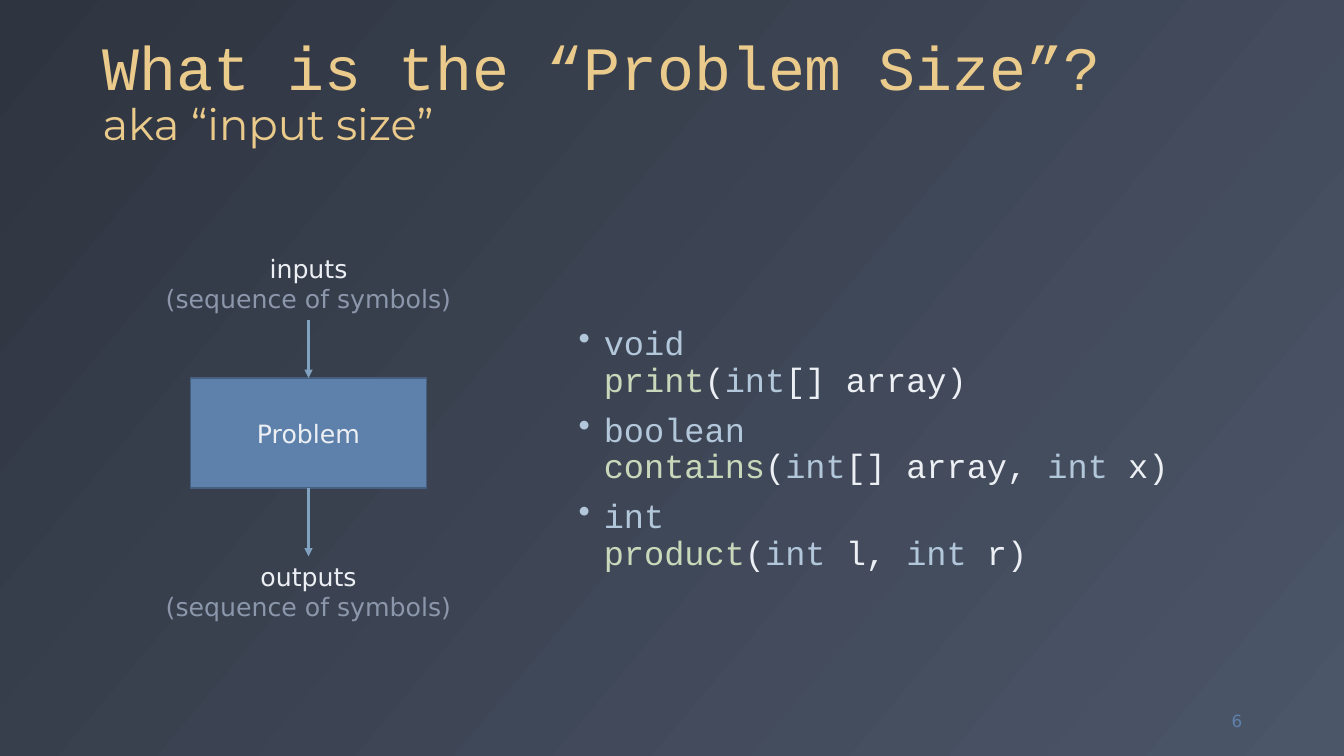
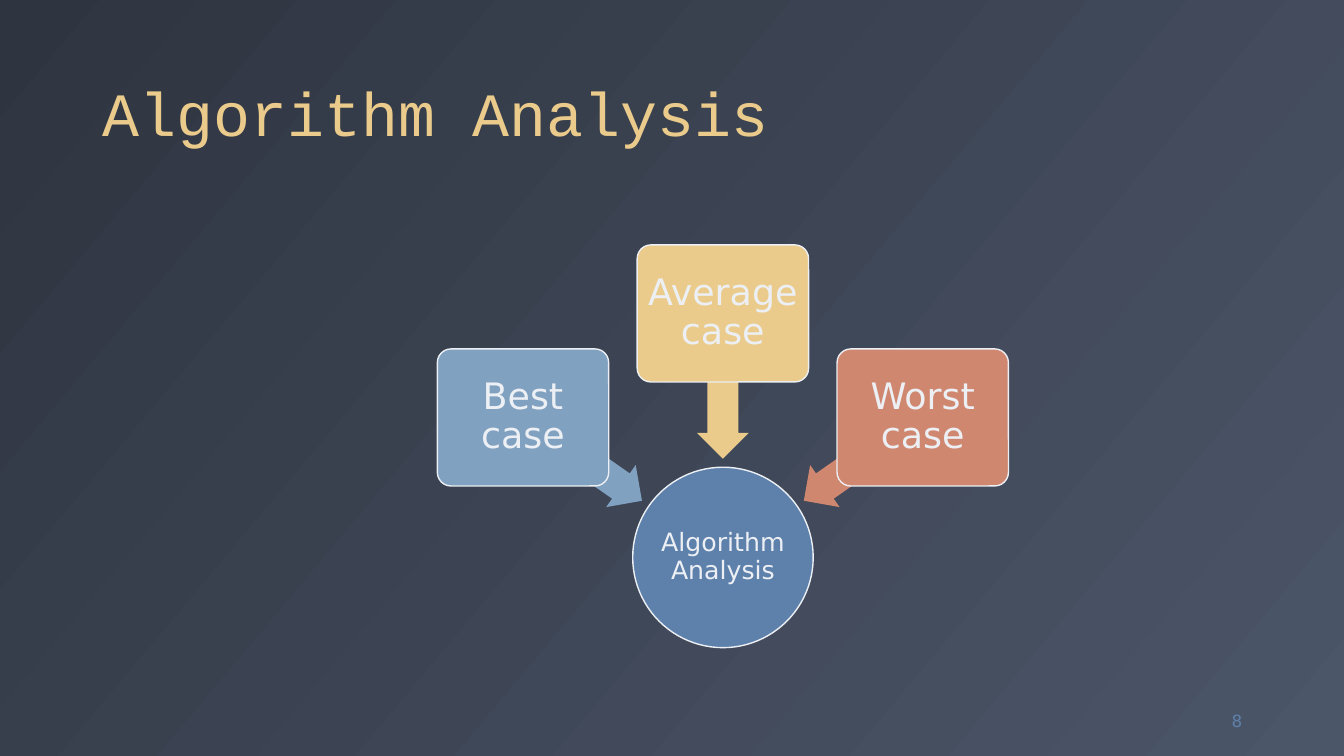
import math

import lxml.etree
import pptx
import pptx.dml.color
import pptx.enum.shapes
import pptx.enum.text
import pptx.oxml.ns
import pptx.util

Inches = pptx.util.Inches
Pt = pptx.util.Pt
qn = pptx.oxml.ns.qn
Align = pptx.enum.text.PP_ALIGN
Anchor = pptx.enum.text.MSO_ANCHOR
Preset = pptx.enum.shapes.MSO_SHAPE

CODE_FONT, TEXT_FONT, SUBTITLE_FONT = "Courier New", "DejaVu Sans", "Montserrat"
NIGHT, SLATE = "2E3440", "4C5669"
YELLOW, ORANGE, SKY, BLUE, DARK_BLUE = "EBCB8B", "D08770", "81A1C1", "5E81AC", "465F7F"
SNOW, MUTED, KEYWORD, FUNCTION = "ECEFF3", "8C97AC", "B3C7DA", "C8D8BA"


def rgb(hex_color):
    return pptx.dml.color.RGBColor.from_string(hex_color)


def add_bullet(paragraph, indent=0.25):
    properties = paragraph._p.get_or_add_pPr()
    properties.set("marL", str(Inches(indent)))
    properties.set("indent", str(-Inches(indent)))
    lxml.etree.SubElement(properties, qn("a:buChar")).set("char", "•")


def add_run(paragraph, text, font, size, color):
    for index, line in enumerate(text.split("\n")):
        if index:
            paragraph.add_line_break()
        if line:
            run = paragraph.add_run()
            run.text = line
            run.font.name = font
            run.font.size = Pt(size)
            run.font.color.rgb = rgb(color)


def write_text(shape, paragraphs, font=TEXT_FONT, size=18, color=SNOW,
               align=Align.CENTER, anchor=Anchor.MIDDLE, line_spacing=None,
               space_before=0, bullet=False, inset=None, wrap=True):
    frame = shape.text_frame
    frame.word_wrap = wrap
    frame.vertical_anchor = anchor
    if inset is not None:
        frame.margin_left = frame.margin_right = Inches(inset)
        frame.margin_top = frame.margin_bottom = Inches(inset)
    for index, runs in enumerate(paragraphs):
        paragraph = frame.add_paragraph() if index else frame.paragraphs[0]
        if bullet:
            add_bullet(paragraph)
        paragraph.alignment = align
        if line_spacing:
            paragraph.line_spacing = line_spacing
        paragraph.space_before = Pt(space_before if index else 0)
        for text, changes in runs:
            add_run(paragraph, text, **{"font": font, "size": size, "color": color, **changes})


def add_text(slide, box, paragraphs, **text_format):
    text_box = slide.shapes.add_textbox(*map(Inches, box))
    write_text(text_box, paragraphs, **text_format)
    return text_box


def add_shape(slide, preset, box, fill, line=None, line_width=1):
    shape = slide.shapes.add_shape(preset, *map(Inches, box))
    shape.shadow.inherit = False
    shape.fill.solid()
    shape.fill.fore_color.rgb = rgb(fill)
    if line:
        shape.line.color.rgb = rgb(line)
        shape.line.width = Pt(line_width)
    else:
        shape.line.fill.background()
    return shape


def add_arrow(slide, upper, lower):
    connector = slide.shapes.add_connector(
        pptx.enum.shapes.MSO_CONNECTOR.STRAIGHT, 0, 0, 0, 0)
    connector.begin_connect(upper, 2)
    connector.end_connect(lower, 0)
    connector.line.color.rgb = rgb(SKY)
    connector.line.width = Pt(1.5)
    properties = connector._element.spPr
    lxml.etree.SubElement(properties.find(qn("a:ln")), qn("a:tailEnd")).set("type", "triangle")
    lxml.etree.SubElement(properties, qn("a:effectLst"))


def add_slide(presentation, number, title):
    slide = presentation.slides.add_slide(presentation.slide_layouts[6])
    background = slide.background.fill
    background.gradient()
    background.gradient_angle = 320
    for stop, color in zip(background.gradient_stops, (NIGHT, SLATE)):
        stop.color.rgb = rgb(color)
    add_text(slide, (0.92, 0.18, 11.5, 1.36), [title], font=CODE_FONT, size=44,
             color=YELLOW, align=Align.LEFT, anchor=Anchor.BOTTOM, line_spacing=0.9)
    add_text(slide, (11.59, 6.95, 0.83, 0.4), [[(str(number), {})]],
             size=12, color=BLUE, align=Align.RIGHT)
    return slide


def add_problem_diagram(slide, left, top, width):
    def add_label(name, offset):
        label = add_text(slide, (left, top + offset, width, 0.71),
                         [[(name, {})], [("(sequence of symbols)", {"color": MUTED})]],
                         anchor=Anchor.TOP, wrap=False)
        label.text_frame.auto_size = pptx.enum.text.MSO_AUTO_SIZE.SHAPE_TO_FIT_TEXT
        return label

    problem_width = 2.34
    problem = add_shape(slide, Preset.RECTANGLE,
                        (left + (width - problem_width) / 2, top + 1.29, problem_width, 1.09),
                        BLUE, DARK_BLUE)
    write_text(problem, [[("Problem", {})]])
    inputs = add_label("inputs", 0)
    outputs = add_label("outputs", 3.06)
    add_arrow(slide, inputs, problem)
    add_arrow(slide, problem, outputs)


def add_signatures(slide, box):
    keyword, function = {"color": KEYWORD}, {"color": FUNCTION}
    signatures = [
        [("void\n", keyword), ("print", function), ("(", {}), ("int", keyword),
         ("[] array)", {})],
        [("boolean\n", keyword), ("contains", function), ("(", {}), ("int", keyword),
         ("[] array, ", {}), ("int", keyword), (" x)", {})],
        [("int\n", keyword), ("product", function), ("(", {}), ("int", keyword),
         (" l, ", {}), ("int", keyword), (" r)", {})],
    ]
    add_text(slide, box, signatures, font=CODE_FONT, size=24, align=Align.LEFT,
             line_spacing=0.9, space_before=10, bullet=True)


def add_case_diagram(slide, center_x, center_y):
    hub_size, radius = 1.79, 2.42
    case_width, case_height = 1.7, 1.36
    arrow_length, arrow_height = 1.44, 0.51

    def centered(x, y, width, height):
        return x - width / 2, y - height / 2, width, height

    hub = add_shape(slide, Preset.OVAL, centered(center_x, center_y, hub_size, hub_size),
                    BLUE, SNOW)
    write_text(hub, [[("Algorithm Analysis", {})]], line_spacing=0.9, inset=0.01)
    cases = [("Best case", 215, SKY), ("Average case", 270, YELLOW), ("Worst case", 325, ORANGE)]
    for name, bearing, color in cases:
        across, down = math.cos(math.radians(bearing)), math.sin(math.radians(bearing))
        arrow_radius = radius - arrow_length / 2
        arrow = add_shape(slide, Preset.LEFT_ARROW,
                          centered(center_x + arrow_radius * across,
                                   center_y + arrow_radius * down,
                                   arrow_length, arrow_height), color)
        arrow.rotation = bearing
        arrow.adjustments[0] = 0.6
        arrow.adjustments[1] = 0.5
        case = add_shape(slide, Preset.ROUNDED_RECTANGLE,
                         centered(center_x + radius * across, center_y + radius * down,
                                  case_width, case_height), color, SNOW)
        case.adjustments[0] = 0.1
        write_text(case, [[(name, {})]], size=26, line_spacing=0.9, inset=0.04)


def build_problem_size(presentation):
    slide = add_slide(presentation, 6, [
        ("What is the “Problem Size”?\n", {}),
        ("aka “input size”", {"font": SUBTITLE_FONT, "size": 31}),
    ])
    add_signatures(slide, (5.64, 2.08, 6.53, 4.76))
    add_problem_diagram(slide, 1.52, 2.46, 3.08)


def build_algorithm_analysis(presentation):
    slide = add_slide(presentation, 8, [("Algorithm Analysis", {})])
    add_case_diagram(slide, 7.17, 5.53)


def main():
    presentation = pptx.Presentation()
    presentation.slide_width = Inches(13.33)
    presentation.slide_height = Inches(7.5)
    build_problem_size(presentation)
    build_algorithm_analysis(presentation)
    presentation.save("out.pptx")


if __name__ == "__main__":
    main()
